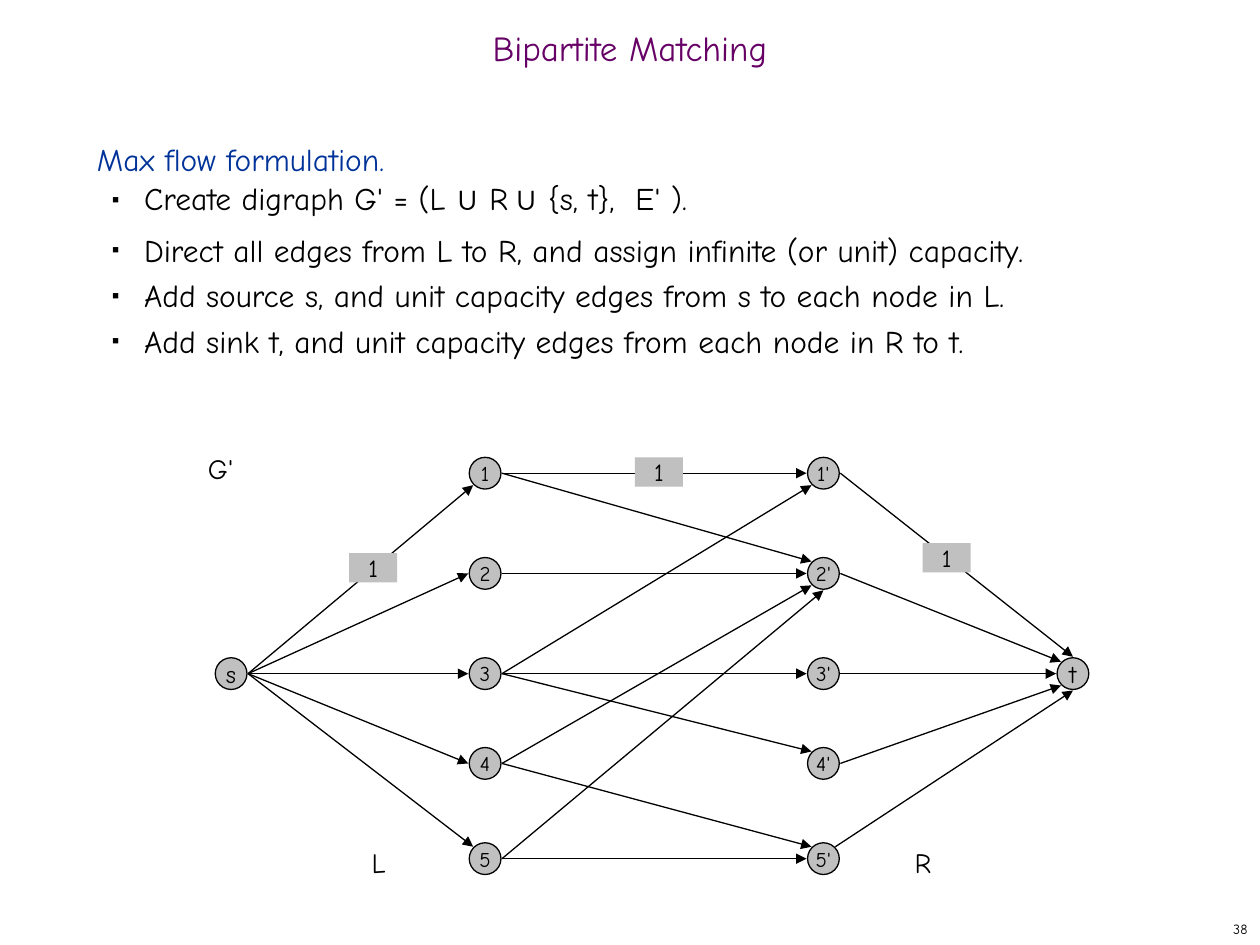
from dataclasses import dataclass
import math

import lxml.etree
import pptx
import pptx.dml.color
import pptx.enum.shapes
import pptx.enum.text
import pptx.oxml.ns
import pptx.util

Cm = pptx.util.Cm
Align = pptx.enum.text.PP_ALIGN
Anchor = pptx.enum.text.MSO_ANCHOR
Shapes = pptx.enum.shapes.MSO_SHAPE
FONT = "Comic Neue"
COLOURS = {"text": "000000", "title": "660066", "lead": "003399", "fill": "C0C0C0"}
RADIUS = 0.32
ARROW_GAP = 0.02


@dataclass
class Node:
    text: str
    x: float
    y: float
    size: int = 12


@dataclass
class Edge:
    start: str
    end: str
    arrive: str = "W"
    leave: str = "E"


@dataclass
class Label:
    text: str
    left: float
    top: float


# Graph layout in centimetres
ROWS = [9.54, 11.56, 13.58, 15.39, 17.31]
NODES = [Node("s", 4.66, ROWS[2], 14), Node("t", 21.63, ROWS[2], 14)]
for number, row in enumerate(ROWS, 1):
    NODES += [Node(f"{number}", 9.78, row), Node(f"{number}'", 16.6, row)]

ANGLES = {"E": 0, "SE": 45, "S": 90, "SW": 135, "W": 180, "NW": 225, "N": 270, "NE": 315}
EDGES = [
    Edge("s", "1", "SW"), Edge("s", "2"), Edge("s", "3"), Edge("s", "4"), Edge("s", "5", "NW"),
    Edge("1", "1'"), Edge("1", "2'", "NW"), Edge("2", "2'"),
    Edge("3", "1'", "SW"), Edge("3", "3'"), Edge("3", "4'", "NW"),
    Edge("4", "2'", "SW"), Edge("4", "5'", "NW"),
    Edge("5", "2'", "S"), Edge("5", "5'"),
    Edge("1'", "t", "N"), Edge("2'", "t", "NW"), Edge("3'", "t"),
    Edge("4'", "t", "SW"), Edge("5'", "t", "S", "NE"),
]
CAPACITIES = [Label("1", 7.04, 11.15), Label("1", 18.6, 10.95), Label("1", 12.8, 9.22)]
SET_NAMES = [Label("R", 18.19, 16.92), Label("L", 7.24, 16.92), Label("G'", 3.94, 8.97)]

# Body text: each paragraph is a list of (text, font, size, baseline)
BULLETS = [
    [("Create digraph G' = (L ", FONT, 18, 0), ("∪", "Arial", 18, 0), (" R", FONT, 18, 0),
     (" ", FONT, 20, -25000), ("∪", "Arial", 18, 0), (" {s, t},  E' ).", FONT, 18, 0)],
    [("Direct all edges from L to R, and assign infinite (or unit) capacity.", FONT, 18, 0)],
    [("Add source s, and unit capacity edges from s to each node in L.", FONT, 18, 0)],
    [("Add sink t, and unit capacity edges from each node in R to t.", FONT, 18, 0)],
]


def rgb(name: str) -> pptx.dml.color.RGBColor:
    return pptx.dml.color.RGBColor.from_string(COLOURS[name])


def set_values(target, **values) -> None:
    for name, value in values.items():
        setattr(target, name, value)


def add_span(para, text: str, size: int, colour: str = "text", font: str = FONT):
    span = para.add_run()
    span.text = text
    set_values(span.font, name=font, size=pptx.util.Pt(size), bold=False)
    span.font.color.rgb = rgb(colour)
    return span


def write_line(box, text: str, size: int, align, anchor, wrap=True, colour="text", margin=None):
    frame = box.text_frame
    set_values(frame, word_wrap=wrap, vertical_anchor=anchor)
    if margin is not None:
        set_values(frame, margin_left=margin, margin_right=margin,
                   margin_top=margin, margin_bottom=margin)
    para = frame.paragraphs[0]
    para.alignment = align
    add_span(para, text, size, colour)
    return para


def place(shape, left: float, top: float, width: float, height: float) -> None:
    set_values(shape, left=Cm(left), top=Cm(top), width=Cm(width), height=Cm(height))


def add_bullet(para) -> None:
    properties = para._p.get_or_add_pPr()
    properties.set("marL", str(Cm(0.95)))
    properties.set("indent", str(-Cm(0.64)))

    def child(parent, tag: str, **values):
        return lxml.etree.SubElement(parent, pptx.oxml.ns.qn(tag), **values)

    child(child(properties, "a:buClr"), "a:srgbClr", val=COLOURS["text"])
    child(properties, "a:buSzPct", val="35000")
    child(properties, "a:buFont", typeface="Arial")
    child(properties, "a:buChar", char="■")


def remove_bullet(para) -> None:
    properties = para._p.get_or_add_pPr()
    properties.set("marL", "0")
    properties.set("indent", "0")
    lxml.etree.SubElement(properties, pptx.oxml.ns.qn("a:buNone"))


def write_body(body) -> None:
    frame = body.text_frame
    set_values(frame, word_wrap=True, vertical_anchor=Anchor.TOP,
               auto_size=pptx.enum.text.MSO_AUTO_SIZE.NONE)
    spacing = dict(line_spacing=pptx.util.Pt(26), space_before=pptx.util.Pt(0),
                   space_after=pptx.util.Pt(0))
    lead = frame.paragraphs[0]
    remove_bullet(lead)
    set_values(lead, **spacing)
    add_span(lead, "Max flow formulation.", 18, "lead")
    for parts in BULLETS:
        para = frame.add_paragraph()
        add_bullet(para)
        set_values(para, level=1, **spacing)
        for text, font, size, baseline in parts:
            span = add_span(para, text, size, font=font)
            if baseline:
                span.font._element.set("baseline", str(baseline))


def add_filled(page, kind, left: float, top: float, width: float, height: float):
    shape = page.shapes.add_shape(kind, Cm(left), Cm(top), Cm(width), Cm(height))
    shape.shadow.inherit = False
    shape.fill.solid()
    shape.fill.fore_color.rgb = rgb("fill")
    return shape


def add_node(page, node: Node) -> None:
    circle = add_filled(page, Shapes.OVAL, node.x - RADIUS, node.y - RADIUS,
                        2 * RADIUS, 2 * RADIUS)
    circle.line.color.rgb = rgb("text")
    circle.line.width = pptx.util.Pt(0.75)
    write_line(circle, node.text, node.size, Align.CENTER, Anchor.MIDDLE, wrap=False)


def rim_point(node: Node, side: str) -> tuple[int, int]:
    angle = math.radians(ANGLES[side])
    reach = RADIUS + ARROW_GAP
    return Cm(node.x + reach * math.cos(angle)), Cm(node.y + reach * math.sin(angle))


def add_edge(page, edge: Edge, nodes: dict[str, Node]) -> None:
    arrow = page.shapes.add_connector(
        pptx.enum.shapes.MSO_CONNECTOR.STRAIGHT,
        *rim_point(nodes[edge.start], edge.leave), *rim_point(nodes[edge.end], edge.arrive))
    arrow.line.color.rgb = rgb("text")
    arrow.line.width = pptx.util.Pt(0.75)
    lxml.etree.SubElement(arrow.line._get_or_add_ln(), pptx.oxml.ns.qn("a:tailEnd"),
                          type="triangle")
    lxml.etree.SubElement(arrow._element.spPr, pptx.oxml.ns.qn("a:effectLst"))


def add_capacity(page, label: Label) -> None:
    box = add_filled(page, Shapes.RECTANGLE, label.left, label.top, 0.97, 0.59)
    box.line.fill.background()
    write_line(box, label.text, 14, Align.CENTER, Anchor.TOP, margin=0)


def add_text(page, label: Label, width: float, height: float):
    return page.shapes.add_textbox(Cm(label.left), Cm(label.top), Cm(width), Cm(height))


def main() -> None:
    deck = pptx.Presentation()
    set_values(deck, slide_width=Cm(25.4), slide_height=Cm(19.05))
    page = deck.slides.add_slide(deck.slide_layouts[1])

    # Title, body and page number
    title, body = page.placeholders
    place(title, 0, 0.43, 25.4, 1.27)
    para = write_line(title, "Bipartite Matching", 20, Align.CENTER, Anchor.MIDDLE, colour="title")
    para.line_spacing = 0.7
    place(body, 1.7, 2.54, 21.79, 15.04)
    write_body(body)
    number = Label("38", 20.12, 18.42)
    write_line(add_text(page, number, 5.28, 0.63), number.text, 8, Align.RIGHT, Anchor.MIDDLE)

    # Flow network
    for node in NODES:
        add_node(page, node)
    nodes = {node.text: node for node in NODES}
    for edge in EDGES:
        add_edge(page, edge, nodes)
    for label in CAPACITIES:
        add_capacity(page, label)
    for label in SET_NAMES:
        write_line(add_text(page, label, 1.55, 0.94), label.text, 16, Align.LEFT, Anchor.TOP)

    deck.save("out.pptx")


if __name__ == "__main__":
    main()
